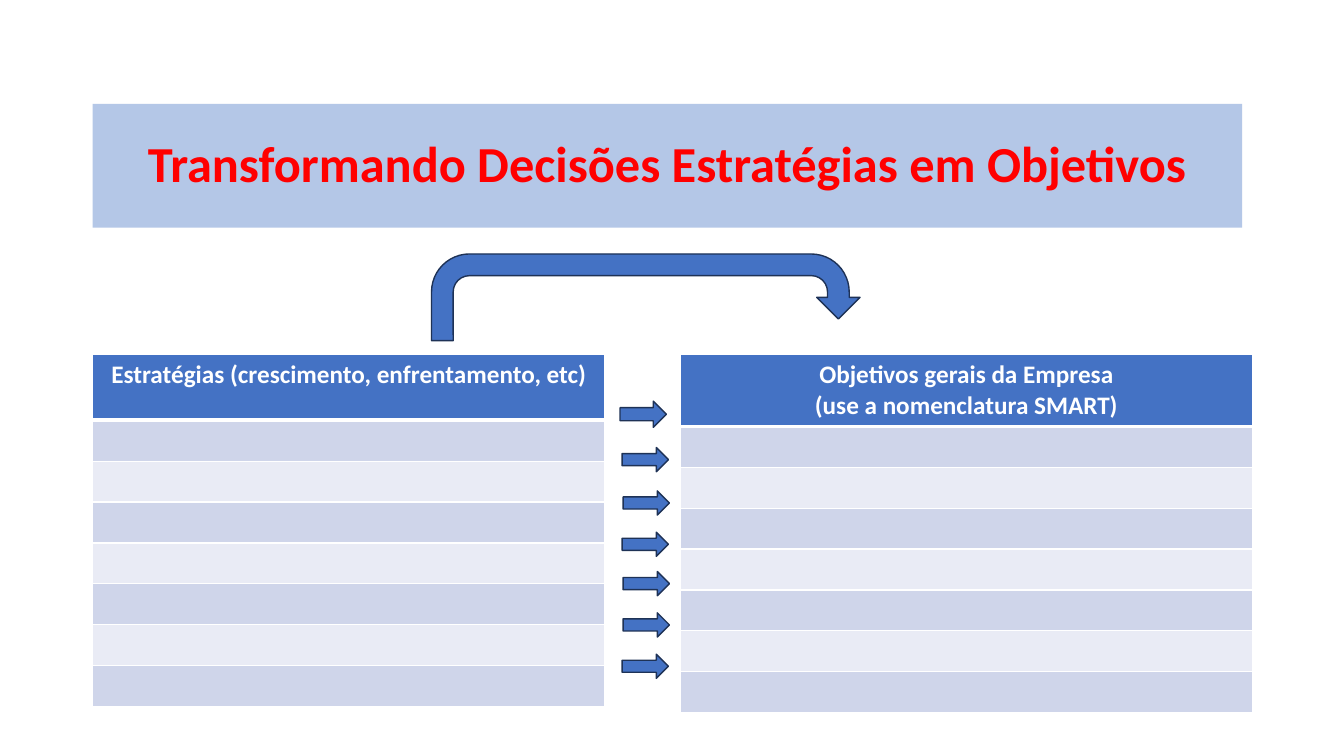
import dataclasses
import typing

import lxml.etree
import pptx
import pptx.dml.color
import pptx.enum.shapes
import pptx.enum.text
import pptx.oxml.ns
import pptx.util

EMU_PER_PX = 9144
SHAPES = pptx.enum.shapes.MSO_SHAPE
CENTER = pptx.enum.text.PP_ALIGN.CENTER


@dataclasses.dataclass(frozen=True)
class Theme:
    font: str = "Calibri"
    title_size: int = 36
    table_size: int = 18
    banner: str = "B4C7E7"
    title: str = "FF0000"
    accent: str = "4472C4"
    outline: str = "1E3256"
    white: str = "FFFFFF"
    bands: tuple[str, str] = ("CFD5EA", "E9EBF5")
    thin_line: int = 1
    thick_line: int = 3


class Box(typing.NamedTuple):
    left: int
    top: int
    width: int
    height: int


class GoalTable(typing.NamedTuple):
    left: int
    width: int
    header_height: int
    header: tuple[str, ...]


THEME = Theme()
TABLE_TOP = 352
BODY_ROWS = 7
BODY_ROW_HEIGHT = 40

BANNER = Box(92, 103, 1140, 123)
U_TURN = Box(428, 252, 425, 86)
OBJECTIVES = GoalTable(675, 567, 71, ("Objetivos gerais da Empresa", "(use a nomenclatura SMART)"))
STRATEGIES = GoalTable(92, 508, 65, ("Estratégias (crescimento, enfrentamento, etc)",))
ROW_ARROWS = (
    Box(615, 398, 46, 26),
    *(Box(left, top, 46, 24) for left, top in
      ((617, 444), (618, 487), (617, 528), (618, 567), (618, 608), (617, 649))),
)


def px(length: int) -> pptx.util.Emu:
    return pptx.util.Emu(length * EMU_PER_PX)


def rgb(color: str) -> pptx.dml.color.RGBColor:
    return pptx.dml.color.RGBColor.from_string(color)


def add_shape(page, kind, box: Box, fill: str, outline: str | None = None):
    shape = page.shapes.add_shape(kind, *map(px, box))
    shape.shadow.inherit = False
    shape.fill.solid()
    shape.fill.fore_color.rgb = rgb(fill)
    if outline:
        shape.line.color.rgb = rgb(outline)
        shape.line.width = pptx.util.Pt(THEME.thin_line)
    else:
        shape.line.fill.background()
    return shape


def write_lines(frame, lines: tuple[str, ...], size: int, color: str, spacing: float = 1.0) -> None:
    """Write each line as a centred bold paragraph."""
    for index, line in enumerate(lines):
        para = frame.add_paragraph() if index else frame.paragraphs[0]
        para.alignment = CENTER
        para.line_spacing = spacing
        span = para.add_run()
        span.text = line
        span.font.name = THEME.font
        span.font.size = pptx.util.Pt(size)
        span.font.bold = True
        span.font.color.rgb = rgb(color)


def set_borders(cell, top: int, bottom: int) -> None:
    """Draw white borders; the side ones are always thin."""
    properties = cell._tc.get_or_add_tcPr()
    qn = pptx.oxml.ns.qn
    widths = {"a:lnL": THEME.thin_line, "a:lnR": THEME.thin_line, "a:lnT": top, "a:lnB": bottom}
    for position, (tag, width) in enumerate(widths.items()):
        line = lxml.etree.Element(qn(tag), w=str(int(pptx.util.Pt(width))))
        fill = lxml.etree.SubElement(line, qn("a:solidFill"))
        lxml.etree.SubElement(fill, qn("a:srgbClr"), val=THEME.white)
        properties.insert(position, line)


def add_goal_table(page, goal: GoalTable) -> None:
    heights = [goal.header_height] + [BODY_ROW_HEIGHT] * BODY_ROWS
    box = Box(goal.left, TABLE_TOP, goal.width, sum(heights))
    table = page.shapes.add_table(len(heights), 1, *map(px, box)).table
    for index, height in enumerate(heights):
        table.rows[index].height = px(height)
        cell = table.cell(index, 0)
        cell.fill.solid()
        color = THEME.bands[(index - 1) % 2] if index else THEME.accent
        cell.fill.fore_color.rgb = rgb(color)
        set_borders(
            cell,
            top=THEME.thick_line if index == 1 else THEME.thin_line,
            bottom=THEME.thick_line if index == 0 else THEME.thin_line,
        )
    write_lines(table.cell(0, 0).text_frame, goal.header, THEME.table_size, THEME.white)


def main() -> None:
    deck = pptx.Presentation()
    deck.slide_width, deck.slide_height = px(1333), px(750)
    page = deck.slides.add_slide(deck.slide_layouts[6])

    banner = add_shape(page, SHAPES.RECTANGLE, BANNER, THEME.banner)
    banner.text_frame.word_wrap = True
    banner.text_frame.vertical_anchor = pptx.enum.text.MSO_ANCHOR.MIDDLE
    write_lines(banner.text_frame, ("Transformando Decisões Estratégias em Objetivos",),
                THEME.title_size, THEME.title, spacing=0.9)

    add_goal_table(page, OBJECTIVES)
    add_shape(page, SHAPES.U_TURN_ARROW, U_TURN, THEME.accent, THEME.outline)
    add_goal_table(page, STRATEGIES)
    for arrow in ROW_ARROWS:
        add_shape(page, SHAPES.RIGHT_ARROW, arrow, THEME.accent, THEME.outline)

    deck.save("out.pptx")


if __name__ == "__main__":
    main()
